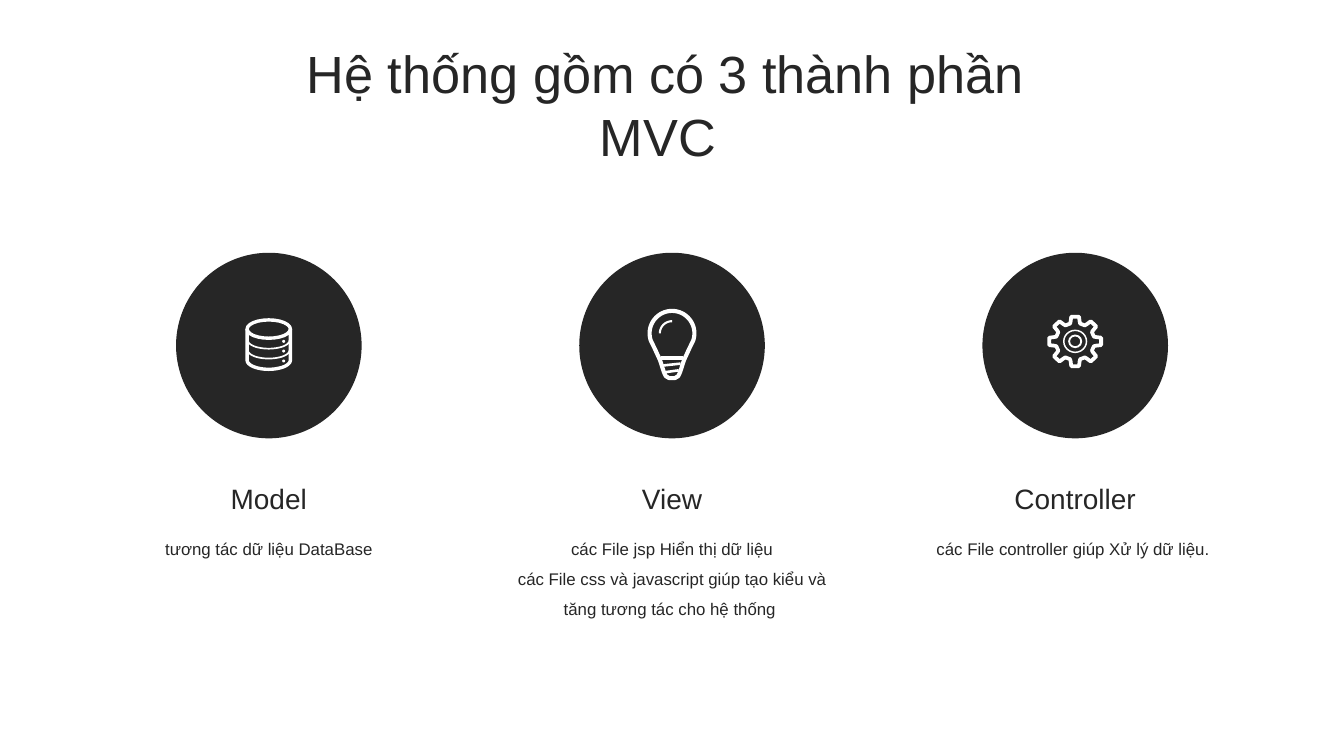
from math import cos, pi, radians, sin

from lxml.etree import SubElement
from pptx import Presentation
from pptx.dml.color import RGBColor
from pptx.enum.shapes import MSO_CONNECTOR, MSO_SHAPE
from pptx.enum.text import MSO_ANCHOR, MSO_AUTO_SIZE, PP_ALIGN
from pptx.oxml.ns import qn
from pptx.util import Pt

DARK = RGBColor(0x26, 0x26, 0x26)
WHITE = RGBColor(0xFF, 0xFF, 0xFF)

prs = Presentation()
prs.slide_width, prs.slide_height = Pt(720), Pt(405)
slide = prs.slides.add_slide(prs.slide_layouts[5])
shapes = slide.shapes


def write(box, text, size, wrap=True, spacing=1.0):
    frame = box.text_frame
    frame.auto_size = MSO_AUTO_SIZE.NONE
    frame.word_wrap = wrap
    frame.vertical_anchor = MSO_ANCHOR.TOP
    frame.text = text
    for paragraph in frame.paragraphs:
        paragraph.alignment = PP_ALIGN.CENTER
        paragraph.line_spacing = spacing
        paragraph.font.name = "Arial"
        paragraph.font.size = Pt(size)
        paragraph.font.color.rgb = DARK


def draw_outline(points, weight, close=False):
    corners = [(Pt(x), Pt(y)) for x, y in points]
    builder = shapes.build_freeform(*corners[0], scale=1.0)
    builder.add_line_segments(corners[1:], close=close)
    outline = builder.convert_to_shape()
    outline.shadow.inherit = False
    outline.fill.background()
    outline.line.color.rgb = WHITE
    outline.line.width = Pt(weight)


# Title
title = shapes.title
title.left, title.top, title.width, title.height = Pt(138.2), Pt(18.7), Pt(436.3), Pt(74.9)
write(title, "Hệ thống gồm có 3 thành phần MVC ", 28)

# Three columns: disc, heading, description
MODEL_X, VIEW_X, CONTROLLER_X = 144, 360, 576
DISC = 99.4
columns = [
    (MODEL_X, "Model", 55.4, "tương tác dữ liệu DataBase", 24),
    (VIEW_X, "View", 46.8,
     "các File jsp Hiển thị dữ liệu\n"
     "các File css và javascript giúp tạo kiểu và tăng tương tác cho hệ thống ", 56),
    (CONTROLLER_X, "Controller", 79.2, "các File controller giúp Xử lý dữ liệu. ", 24),
]
for center, name, name_width, description, height in columns:
    disc = shapes.add_shape(MSO_SHAPE.OVAL, Pt(center - DISC / 2), Pt(135.4), Pt(DISC), Pt(DISC))
    disc.shadow.inherit = False
    disc.fill.solid()
    disc.fill.fore_color.rgb = DARK
    disc.line.fill.background()
    details = shapes.add_textbox(Pt(center - 98.3), Pt(279.4), Pt(196.6), Pt(height))
    write(details, description, 9, spacing=1.5)
    heading = shapes.add_textbox(Pt(center - name_width / 2), Pt(254.2), Pt(name_width), Pt(25.2))
    write(heading, name, 15, wrap=False)

# Database icon: side walls with rounded bottom, then the dividers
half_turn = [pi * step / 24 for step in range(25)]
body = [(MODEL_X + 11.6 * cos(t), 193 + 4.9 * sin(t)) for t in half_turn]
draw_outline([(MODEL_X + 11.6, 176.3), *body, (MODEL_X - 11.6, 176.3)], 1.8)
for divider_y in (182.3, 187.6):
    draw_outline([(MODEL_X + 11.2 * cos(t), divider_y + 4.5 * sin(t)) for t in half_turn], 0.9)

# Bulb icon: glass and base, mirrored about the axis, and a highlight
glass = [(12 * sin(radians(a)), 178.6 - 12 * cos(radians(a))) for a in range(0, 111, 5)]
base = [(9.3, 186.7), (6.4, 193), (4.3, 199.5), (3.3, 201.6), (1.5, 202.6)]
right_side = glass + base
left_side = [(-x, y) for x, y in reversed(right_side[1:])]
draw_outline([(VIEW_X + x, y) for x, y in right_side + left_side], 2.2, close=True)
draw_outline([(VIEW_X - 6.5 * cos(t / 2), 178.6 - 6.5 * sin(t / 2)) for t in half_turn], 1.1)
for half_width, left_y, right_y, weight in [
    (6, 191.9, 191.9, 2.1), (4.6, 195.8, 194.8, 1.4), (3.6, 199.4, 198.4, 1.4),
]:
    thread = shapes.add_connector(
        MSO_CONNECTOR.STRAIGHT, Pt(VIEW_X - half_width), Pt(left_y),
        Pt(VIEW_X + half_width), Pt(right_y))
    thread.line.color.rgb = WHITE
    thread.line.width = Pt(weight)
    SubElement(thread._element.spPr, qn("a:effectLst"))

# Gear icon: eight equal teeth
GEAR_Y = 182.9
tooth = [(-15, 9.9), (-12, 11), (-8.5, 13.4), (8.5, 13.4), (12, 11), (15, 9.9)]
rim = [(radians(45 * number + angle), radius) for number in range(8) for angle, radius in tooth]
draw_outline([(CONTROLLER_X + 1.05 * r * sin(a), GEAR_Y - r * cos(a)) for a, r in rim],
             2, close=True)

# Rings: database lid and gear hub
for x, y, width, height, weight in [
    (MODEL_X, 176.3, 23.2, 9.8, 1.8),
    (CONTROLLER_X, GEAR_Y, 12.2, 11.8, 0.8),
    (CONTROLLER_X, GEAR_Y, 6.5, 6.3, 1),
]:
    ring = shapes.add_shape(
        MSO_SHAPE.OVAL, Pt(x - width / 2), Pt(y - height / 2), Pt(width), Pt(height))
    ring.shadow.inherit = False
    ring.fill.background()
    ring.line.color.rgb = WHITE
    ring.line.width = Pt(weight)

# Database lights
for light_y in (182.9, 188.1, 193.4):
    light = shapes.add_shape(MSO_SHAPE.OVAL, Pt(151.2), Pt(light_y - 0.8), Pt(1.6), Pt(1.6))
    light.shadow.inherit = False
    light.fill.solid()
    light.fill.fore_color.rgb = WHITE
    light.line.fill.background()

prs.save("out.pptx")
